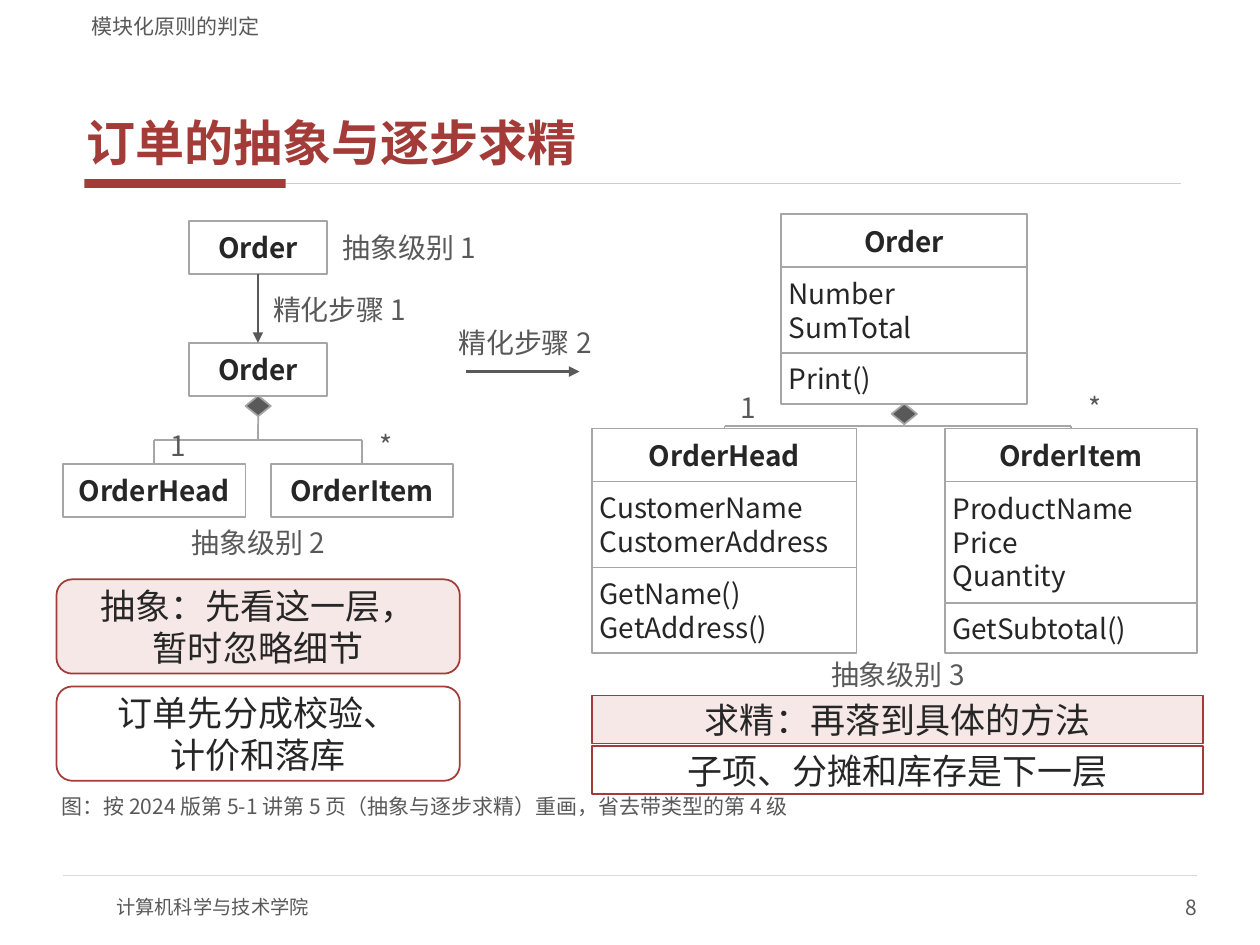
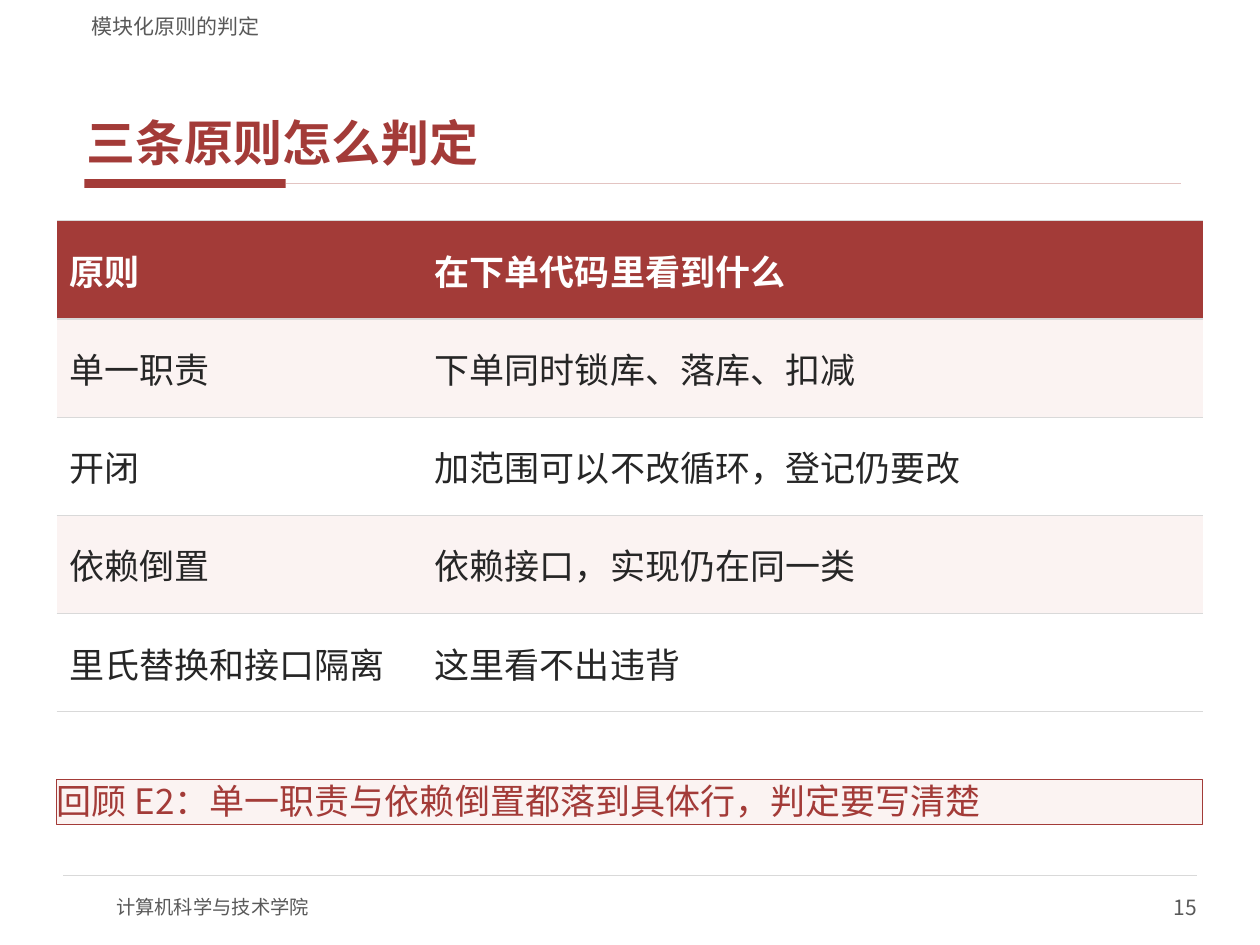
from lxml import etree
from pptx import Presentation
from pptx.dml.color import RGBColor
from pptx.enum import shapes, text
from pptx.oxml import ns
from pptx.util import Cm, Pt

COLORS = {
    "red": "A33B38", "rose": "E3C4C2", "blush": "F6E8E6", "pale": "FBF3F2",
    "white": "FFFFFF", "ink": "262626", "gray": "595959", "edge": "A6A6A6",
    "rule": "D9D9D9",
}
FONT = "Noto Sans CJK SC"
RECT = shapes.MSO_SHAPE.RECTANGLE
ROUND = shapes.MSO_SHAPE.ROUNDED_RECTANGLE
DIAMOND = shapes.MSO_SHAPE.DIAMOND
LEFT, CENTER, RIGHT = text.PP_ALIGN.LEFT, text.PP_ALIGN.CENTER, text.PP_ALIGN.RIGHT
TOP, MIDDLE, BOTTOM = text.MSO_ANCHOR.TOP, text.MSO_ANCHOR.MIDDLE, text.MSO_ANCHOR.BOTTOM


def rgb(name):
    """Return the named colour."""
    return RGBColor.from_string(COLORS[name])


def add_node(parent, tag, **attributes):
    """Append a drawing element to its parent."""
    return etree.SubElement(parent, ns.qn(tag), attributes)


def write(frame, words, size, color="ink", bold=False, align=LEFT):
    """Set the words of a text frame and format every run."""
    frame.text = words
    for para in frame.paragraphs:
        para.alignment = align
        for span in para.runs:
            span.font.size = Pt(size)
            span.font.bold = bold
            span.font.name = FONT
            span.font.color.rgb = rgb(color)
            add_node(span.font._element, "a:ea", typeface=FONT)


def set_frame(frame, anchor, inset_x, inset_y):
    """Wrap the text and set its anchor and insets."""
    frame.word_wrap = True
    frame.auto_size = text.MSO_AUTO_SIZE.NONE
    frame.vertical_anchor = anchor
    frame.margin_left = frame.margin_right = Cm(inset_x)
    frame.margin_top = frame.margin_bottom = Cm(inset_y)


def add_label(page, box, words, size=16, align=LEFT, anchor=MIDDLE, inset_x=0.05, inset_y=0.03):
    """Add gray text without an outline."""
    label = page.shapes.add_textbox(*map(Cm, box))
    set_frame(label.text_frame, anchor, inset_x, inset_y)
    write(label.text_frame, words, size, "gray", align=align)


def add_block(page, kind, box, fill, edge=None, width=1):
    """Add a flat preset shape."""
    block = page.shapes.add_shape(kind, *map(Cm, box))
    block.shadow.inherit = False
    block.fill.solid()
    block.fill.fore_color.rgb = rgb(fill)
    if edge:
        block.line.color.rgb = rgb(edge)
        block.line.width = Pt(width)
    else:
        block.line.fill.background()
    return block


def add_line(page, start, end, color="edge", width=1, arrow=False):
    """Add a straight connector, with an arrowhead if wanted."""
    line = page.shapes.add_connector(shapes.MSO_CONNECTOR.STRAIGHT, *map(Cm, (*start, *end)))
    line.line.color.rgb = rgb(color)
    line.line.width = Pt(width)
    if arrow:
        add_node(line.line._get_or_add_ln(), "a:tailEnd", type="triangle")
    add_node(line._element.spPr, "a:effectLst")
    return line


def add_callouts(page, box, pitch, kind, notes, inset_x, inset_y):
    """Stack red-edged notes, the first one tinted."""
    left, top, width, height = box
    for row, (words, fill) in enumerate(zip(notes, ("blush", "white"))):
        note = add_block(page, kind, (left, top + row * pitch, width, height), fill, "red")
        set_frame(note.text_frame, MIDDLE, inset_x, inset_y)
        write(note.text_frame, words, 20, align=CENTER)


def add_class(page, left, top, width, name, *compartments):
    """Draw a class box and return its first and last parts."""
    parts = []
    for words in (name, *compartments):
        header = not parts
        height = 1.07 if header else 0.31 + 0.71 * len(words.split("\n"))
        part = add_block(page, RECT, (left, top, width, height), "white", "edge")
        set_frame(part.text_frame, MIDDLE, 0.15, 0.08)
        write(part.text_frame, words, 16, bold=header, align=CENTER if header else LEFT)
        parts.append(part)
        top += height
    return parts[0], parts[-1]


def add_aggregation(page, whole, members, lift):
    """Join a whole to its members with a diamond and a branching line."""
    center = (whole.left + whole.width / 2) / Cm(1)
    base = (whole.top + whole.height) / Cm(1)
    diamond = add_block(page, DIAMOND, (center - 0.25, base, 0.51, 0.41), "gray", "edge")
    below = members[0].top / Cm(1)
    bar = (base + 0.41 + below) / 2
    add_line(page, (center, base + 0.41), (center, bar)).begin_connect(diamond, 2)
    middles = [(member.left + member.width / 2) / Cm(1) for member in members]
    add_line(page, (middles[0], bar), (middles[-1], bar))
    for member, middle, count in zip(members, middles, "1*"):
        add_line(page, (middle, bar), (middle, below)).end_connect(member, 0)
        add_label(page, (middle + 0.1, bar - lift, 0.76, 0.76), count, align=CENTER,
                  inset_x=0, inset_y=0)


def add_first_levels(page, left, top, width):
    """Draw abstraction levels 1 and 2."""
    middle = left + width / 2
    first, _ = add_class(page, middle - 1.4, top, 2.79, "Order")
    second, _ = add_class(page, middle - 1.4, top + 2.46, 2.79, "Order")
    add_label(page, (middle + 1.65, top + 0.08, 4.06, 0.91), "抽象级别 1")
    step = add_line(page, (middle, top + 1.07), (middle, top + 2.46), "gray", 1.5, True)
    step.begin_connect(first, 2)
    step.end_connect(second, 0)
    add_label(page, (middle + 0.25, top + 1.35, 3.81, 0.86), "精化步骤 1")
    members = [add_class(page, x, top + 4.9, 3.68, name)[0]
               for x, name in ((left, "OrderHead"), (left + width - 3.68, "OrderItem"))]
    add_aggregation(page, second, members, 0.28)
    add_label(page, (left, top + 6.07, width, 0.81), "抽象级别 2", align=CENTER)


def add_third_level(page, left, top, width):
    """Draw abstraction level 3 with attributes and methods."""
    _, whole = add_class(page, left + 3.81, top, 4.95, "Order", "Number\nSumTotal", "Print()")
    head, _ = add_class(page, left, top + 4.32, 5.33, "OrderHead",
                        "CustomerName\nCustomerAddress", "GetName()\nGetAddress()")
    item, _ = add_class(page, left + 7.11, top + 4.32, 5.08, "OrderItem",
                        "ProductName\nPrice\nQuantity", "GetSubtotal()")
    add_aggregation(page, whole, (head, item), 0.76)
    add_label(page, (left, top + 8.89, width, 0.76), "抽象级别 3", align=CENTER)


def add_principles(page, box, widths, rows):
    """Add the table of principles with banded rows."""
    table = page.shapes.add_table(len(rows), len(widths), *map(Cm, box)).table
    for column, width in zip(table.columns, widths):
        column.width = Cm(width)
    for number, row in enumerate(rows):
        fill = "red" if number == 0 else "pale" if number % 2 else "white"
        for cell, words in zip(table.rows[number].cells, row):
            style_borders(cell)
            cell.fill.solid()
            cell.fill.fore_color.rgb = rgb(fill)
            cell.vertical_anchor = MIDDLE
            write(cell.text_frame, words, 20, "ink" if number else "white", number == 0)


def style_borders(cell):
    """Rule a cell above and below only."""
    properties = cell._tc.get_or_add_tcPr()
    for side in "LR":
        add_node(add_node(properties, f"a:ln{side}", w="0"), "a:noFill")
    for side in "TB":
        line = add_node(properties, f"a:ln{side}", w=str(Pt(0.75)))
        add_node(add_node(line, "a:solidFill"), "a:srgbClr", val=COLORS["rule"])


def add_page(deck, title, number):
    """Start a slide with the title, bands and footer that all share."""
    page = deck.slides.add_slide(deck.slide_layouts[5])
    add_block(page, RECT, (1.7, 3.61, 4.06, 0.18), "red")
    add_line(page, (5.77, 3.7), (23.8, 3.7), "rose")
    add_line(page, (1.27, 17.65), (24.13, 17.65), "rule", 0.75)
    add_label(page, (2.34, 17.78, 10.16, 1.02), "计算机科学与技术学院", 11, inset_x=0, inset_y=0)
    add_label(page, (19.05, 17.78, 5.08, 1.02), str(number), 12, RIGHT, inset_x=0, inset_y=0)
    add_label(page, (1.6, 0.1, 22.23, 0.69), "模块化原则的判定", 12, anchor=BOTTOM,
              inset_x=0.25, inset_y=0)
    heading = page.shapes.title
    heading.left, heading.top, heading.width, heading.height = map(Cm, (1.6, 0.84, 22.23, 2.67))
    set_frame(heading.text_frame, BOTTOM, 0.15, 0.05)
    write(heading.text_frame, title, 28, "red", True)
    heading.text_frame.paragraphs[0].space_after = Pt(2)
    return page


def build_refinement(deck):
    """Build the slide on abstraction and stepwise refinement."""
    page = add_page(deck, "订单的抽象与逐步求精", 8)
    add_first_levels(page, 1.27, 4.45, 7.87)
    add_line(page, (9.4, 7.49), (11.68, 7.49), "gray", 1.75, True)
    add_label(page, (9.19, 6.48, 3.81, 0.86), "精化步骤 2")
    add_third_level(page, 11.94, 4.32, 12.32)
    add_callouts(page, (1.14, 11.68, 8.13, 1.9), 2.16, ROUND,
                 ("抽象：先看这一层，\v暂时忽略细节", "订单先分成校验、\v计价和落库"), 0.2, 0.1)
    add_callouts(page, (11.94, 14.02, 12.32, 0.97), 1.02, RECT,
                 ("求精：再落到具体的方法", "子项、分摊和库存是下一层"), 0.1, 0.05)
    add_label(page, (1.14, 16, 23.11, 0.56),
              "图：按 2024 版第 5-1 讲第 5 页（抽象与逐步求精）重画，省去带类型的第 4 级",
              12, anchor=BOTTOM, inset_x=0.1, inset_y=0.05)


def build_judgement(deck):
    """Build the slide on judging the principles."""
    page = add_page(deck, "三条原则怎么判定", 15)
    add_principles(page, (1.14, 4.45, 23.11, 9.9), (7.37, 15.75), (
        ("原则", "在下单代码里看到什么"),
        ("单一职责", "下单同时锁库、落库、扣减"),
        ("开闭", "加范围可以不改循环，登记仍要改"),
        ("依赖倒置", "依赖接口，实现仍在同一类"),
        ("里氏替换和接口隔离", "这里看不出违背"),
    ))
    review = add_block(page, RECT, (1.14, 15.72, 23.11, 0.91), "pale", "red", 0.75)
    set_frame(review.text_frame, TOP, 0, 0)
    write(review.text_frame, "回顾 E2：单一职责与依赖倒置都落到具体行，判定要写清楚", 20, "red")


def main():
    """Build and save the deck."""
    deck = Presentation()
    deck.slide_width, deck.slide_height = Cm(25.4), Cm(19.05)
    build_refinement(deck)
    build_judgement(deck)
    deck.save("out.pptx")


if __name__ == "__main__":
    main()
